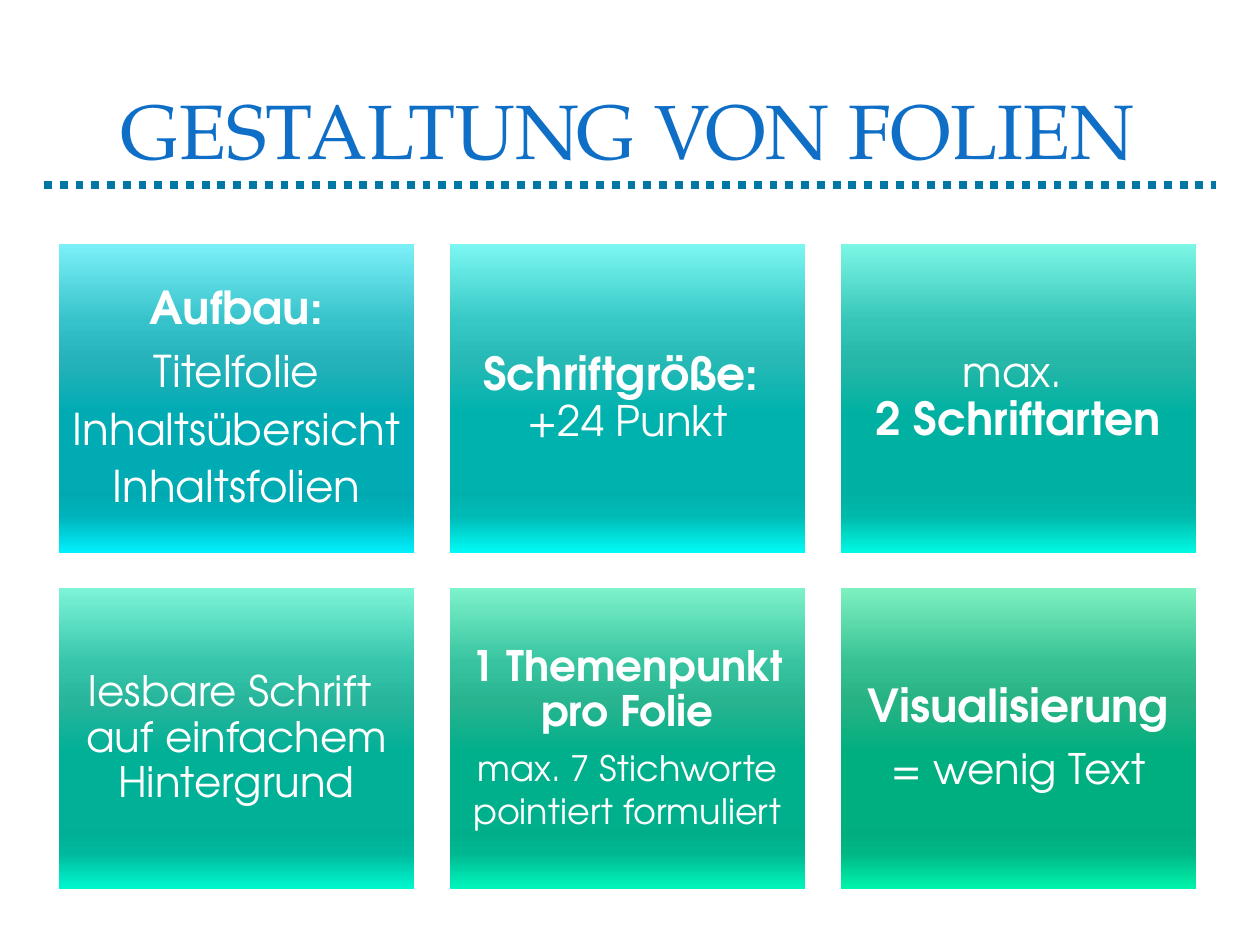
from lxml import etree
from pptx import Presentation
from pptx.dml.color import RGBColor
from pptx.enum.dml import MSO_LINE_DASH_STYLE as DASH
from pptx.enum.shapes import MSO_CONNECTOR, MSO_SHAPE
from pptx.enum.text import MSO_ANCHOR, PP_ALIGN
from pptx.oxml import parse_xml
from pptx.oxml.ns import nsdecls, qn
from pptx.util import Emu, Pt

WHITE = RGBColor(0xFF, 0xFF, 0xFF)
BLUE = RGBColor(0x0F, 0x6F, 0xC6)
TEAL = RGBColor(0x00, 0x76, 0xA3)
TITLE_FONT, BODY_FONT = "TeX Gyre Pagella", "TeX Gyre Adventor"

TITLE = "GESTALTUNG VON FOLIEN"
STOPS = (0, 25, 38, 55, 80, 88, 100)
# Each tile: gradient colours, then paragraphs of (space after, lines of (text, size, bold))
TILES = [
    ("7CF0F9 36C2CA 26B2BA 00ABB3 00A9B1 00B2BB 00F1FD", [
        (9, [("Aufbau:", 26, True)]),
        (6, [("Titelfolie", 25, False)]),
        (6, [("Inhaltsübersicht", 25, False)]),
        (6, [("Inhaltsfolien", 25, False)])]),
    ("7CF7F3 36C8C5 26B9B5 00B2AE 00B0AD 00BAB6 00FBF6", [
        (9, [("Schriftgröße: ", 26, True), ("+24 Punkt", 24, False)])]),
    ("7CF6E5 36C6B8 27B7A8 00B1A2 00B0A1 00B9AA 00F9E3", [
        (9, [("max. ", 24, False), ("2 Schriftarten", 26, True)])]),
    ("7DF4D8 36C5AB 27B59B 00B097 00AF95 00B89D 00F8D0", [
        (9, [("lesbare Schrift ", 24, False), ("auf einfachem Hintergrund", 24, False)])]),
    ("7DF2CB 37C39F 27B48F 00AF8B 00AE8A 00B791 00F6BD", [
        (9, [("1 Themenpunkt pro Folie", 24, True)]),
        (3, [("max. 7 Stichworte", 20, False)]),
        (3, [("pointiert formuliert", 20, False)])]),
    ("7DF0C0 37C193 27B284 00AF7F 00AD7E 00B685 00F4AB", [
        (9, [("Visualisierung", 26, True)]),
        (4, [("= wenig Text", 24, False)])]),
]
COLUMNS, LEFT, TILE_W, GAP = 3, 59, 355, 36
ROWS = [(244, 309), (588, 301)]
INSET = 13


def px(n):
    return Emu(round(n * 914400 / 126))


def style(r, font, size, color, bold=False):
    r.font.name, r.font.size, r.font.bold = font, Pt(size), bold
    r.font.color.rgb = color


def fill_gradient(s, colors):
    stops = "".join(f'<a:gs pos="{pos * 1000}"><a:srgbClr val="{c}"/></a:gs>'
                    for pos, c in zip(STOPS, colors.split()))
    grad = parse_xml(f'<a:gradFill {nsdecls("a")} rotWithShape="1"><a:gsLst>{stops}</a:gsLst>'
                     '<a:lin ang="5400000" scaled="0"/></a:gradFill>')
    s._element.spPr.find(qn("a:prstGeom")).addnext(grad)


def add_title(slide):
    tf = slide.shapes.add_textbox(px(59), px(57), px(1138), px(144)).text_frame
    tf.word_wrap, tf.vertical_anchor = True, MSO_ANCHOR.MIDDLE
    tf.text = TITLE
    p = tf.paragraphs[0]
    p.alignment = PP_ALIGN.CENTER
    style(p.runs[0], TITLE_FONT, 44, BLUE)


def add_rule(slide):
    line = slide.shapes.add_connector(MSO_CONNECTOR.STRAIGHT, px(44), px(185), px(1216), px(185))
    line.line.color.rgb, line.line.width = TEAL, Pt(4.5)
    line.line.dash_style = DASH.ROUND_DOT
    etree.SubElement(line._element.spPr, qn("a:effectLst"))


def add_tile(slide, index, colors, paragraphs):
    row, col = divmod(index, COLUMNS)
    top, height = ROWS[row]
    s = slide.shapes.add_shape(MSO_SHAPE.RECTANGLE, px(LEFT + col * (TILE_W + GAP)), px(top),
                               px(TILE_W), px(height))
    s.shadow.inherit = False
    s.line.fill.background()
    fill_gradient(s, colors)
    tf = s.text_frame
    tf.word_wrap, tf.vertical_anchor = True, MSO_ANCHOR.MIDDLE
    tf.margin_left = tf.margin_right = tf.margin_top = tf.margin_bottom = px(INSET)
    for i, (after, lines) in enumerate(paragraphs):
        p = tf.add_paragraph() if i else tf.paragraphs[0]
        p.text = "\v".join(text for text, _, _ in lines)
        p.alignment, p.line_spacing, p.space_after = PP_ALIGN.CENTER, 0.9, Pt(after)
        for r, (_, size, bold) in zip(p.runs, lines):
            style(r, BODY_FONT, size, WHITE, bold)


def main():
    """Build the slide on designing slides: a title, a dotted rule and six tiles."""
    prs = Presentation()
    prs.slide_width, prs.slide_height = px(1260), px(945)
    slide = prs.slides.add_slide(prs.slide_layouts[6])
    add_rule(slide)
    add_title(slide)
    for i, (colors, paragraphs) in enumerate(TILES):
        add_tile(slide, i, colors, paragraphs)
    prs.save("out.pptx")


if __name__ == "__main__":
    main()
